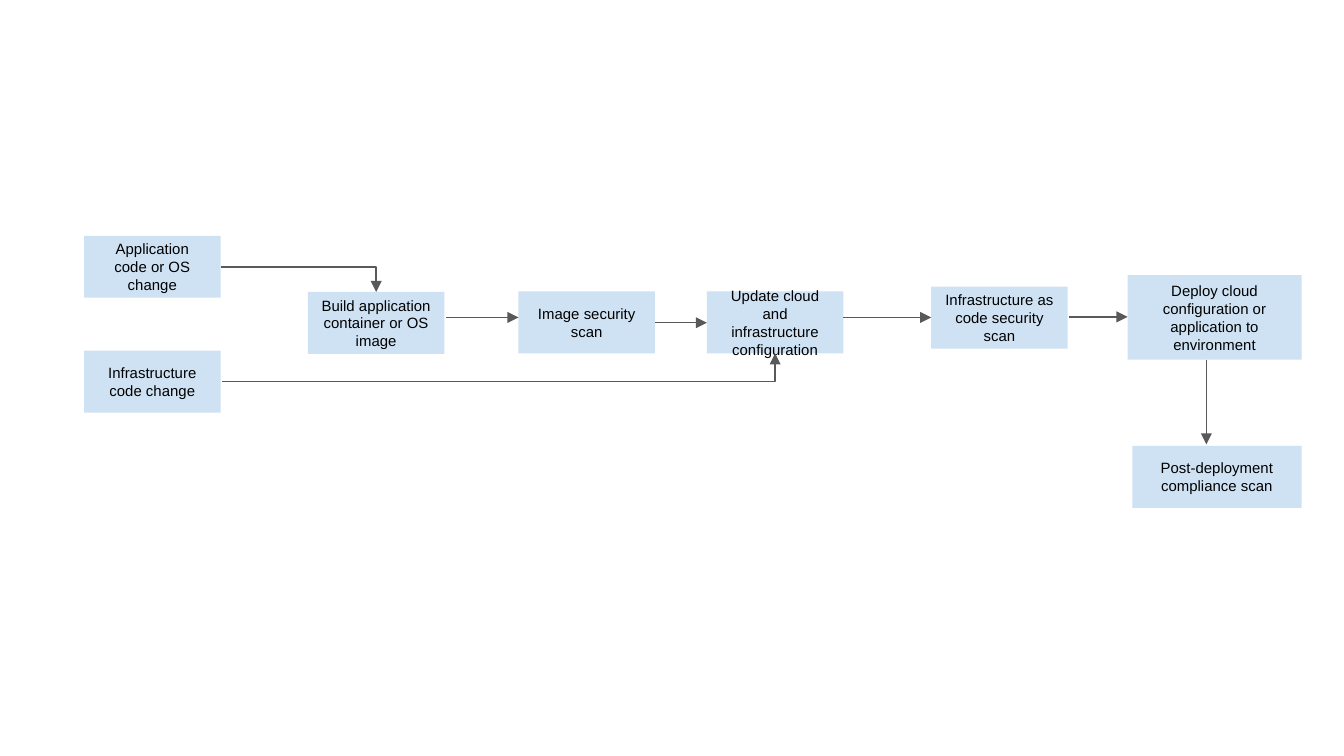
from lxml import etree
from pptx import Presentation
from pptx.dml.color import RGBColor
from pptx.enum.shapes import MSO_CONNECTOR, MSO_SHAPE
from pptx.enum.text import MSO_ANCHOR, PP_ALIGN
from pptx.oxml.ns import qn
from pptx.util import Cm, Pt

RECTANGLE = MSO_SHAPE.RECTANGLE
STRAIGHT, ELBOW = MSO_CONNECTOR.STRAIGHT, MSO_CONNECTOR.ELBOW
MIDDLE, CENTER = MSO_ANCHOR.MIDDLE, PP_ALIGN.CENTER
PALE_BLUE = RGBColor(0xCF, 0xE2, 0xF3)
DARK_GREY = RGBColor(0x59, 0x59, 0x59)
BLACK = RGBColor(0, 0, 0)
STEP_WIDTH, STEP_HEIGHT = 2.58, 1.17
INSET = Cm(0.25)

presentation = Presentation()
presentation.slide_width, presentation.slide_height = Cm(25.4), Cm(14.29)
slide = presentation.slides.add_slide(presentation.slide_layouts[6])

# Pipeline steps: text, left, top, width, height in cm
steps = [
    ("Application code or OS change", 1.59, 4.46, STEP_WIDTH, STEP_HEIGHT),
    ("Infrastructure code change", 1.59, 6.63, STEP_WIDTH, STEP_HEIGHT),
    ("Build application container or OS image", 5.82, 5.52, STEP_WIDTH, STEP_HEIGHT),
    ("Image security scan", 9.8, 5.51, STEP_WIDTH, STEP_HEIGHT),
    ("Update cloud and infrastructure configuration", 13.36, 5.51, STEP_WIDTH, STEP_HEIGHT),
    ("Infrastructure as code security scan", 17.6, 5.42, STEP_WIDTH, STEP_HEIGHT),
    ("Deploy cloud configuration or application to environment", 21.31, 5.2, 3.29, 1.6),
    ("Post-deployment compliance scan", 21.4, 8.43, 3.2, STEP_HEIGHT),
]
for text, left, top, width, height in steps:
    shape = slide.shapes.add_shape(RECTANGLE, Cm(left), Cm(top), Cm(width), Cm(height))
    shape.shadow.inherit = False
    shape.fill.solid()
    shape.fill.fore_color.rgb = PALE_BLUE
    shape.line.fill.background()
    frame = shape.text_frame
    frame.word_wrap = True
    frame.vertical_anchor = MIDDLE
    frame.margin_left = frame.margin_right = INSET
    frame.margin_top = frame.margin_bottom = INSET
    paragraph = frame.paragraphs[0]
    paragraph.alignment = CENTER
    run = paragraph.add_run()
    run.text = text
    run.font.name = "Arial"
    run.font.size = Pt(8)
    run.font.color.rgb = BLACK

# Arrows: kind, start x, start y, end x, end y in cm
arrows = [
    (ELBOW, 4.18, 5.05, 7.11, 5.52),
    (ELBOW, 4.2, 7.21, 14.65, 6.68),
    (STRAIGHT, 8.43, 6, 9.8, 6),
    (STRAIGHT, 12.38, 6.1, 13.36, 6.1),
    (STRAIGHT, 15.94, 6, 17.6, 6),
    (STRAIGHT, 20.2, 5.99, 21.31, 5.99),
    (STRAIGHT, 22.8, 6.8, 22.8, 8.4),
]
for kind, *ends in arrows:
    connector = slide.shapes.add_connector(kind, *[Cm(value) for value in ends])
    connector.line.color.rgb = DARK_GREY
    connector.line.width = Pt(0.75)
    properties = connector._element.spPr
    if kind == ELBOW:
        # One corner only: across, then up or down
        properties.find(qn("a:prstGeom")).set("prst", "bentConnector2")
    line = properties.find(qn("a:ln"))
    etree.SubElement(line, qn("a:tailEnd"), type="triangle", w="med", len="med")
    etree.SubElement(properties, qn("a:effectLst"))

presentation.save("out.pptx")
